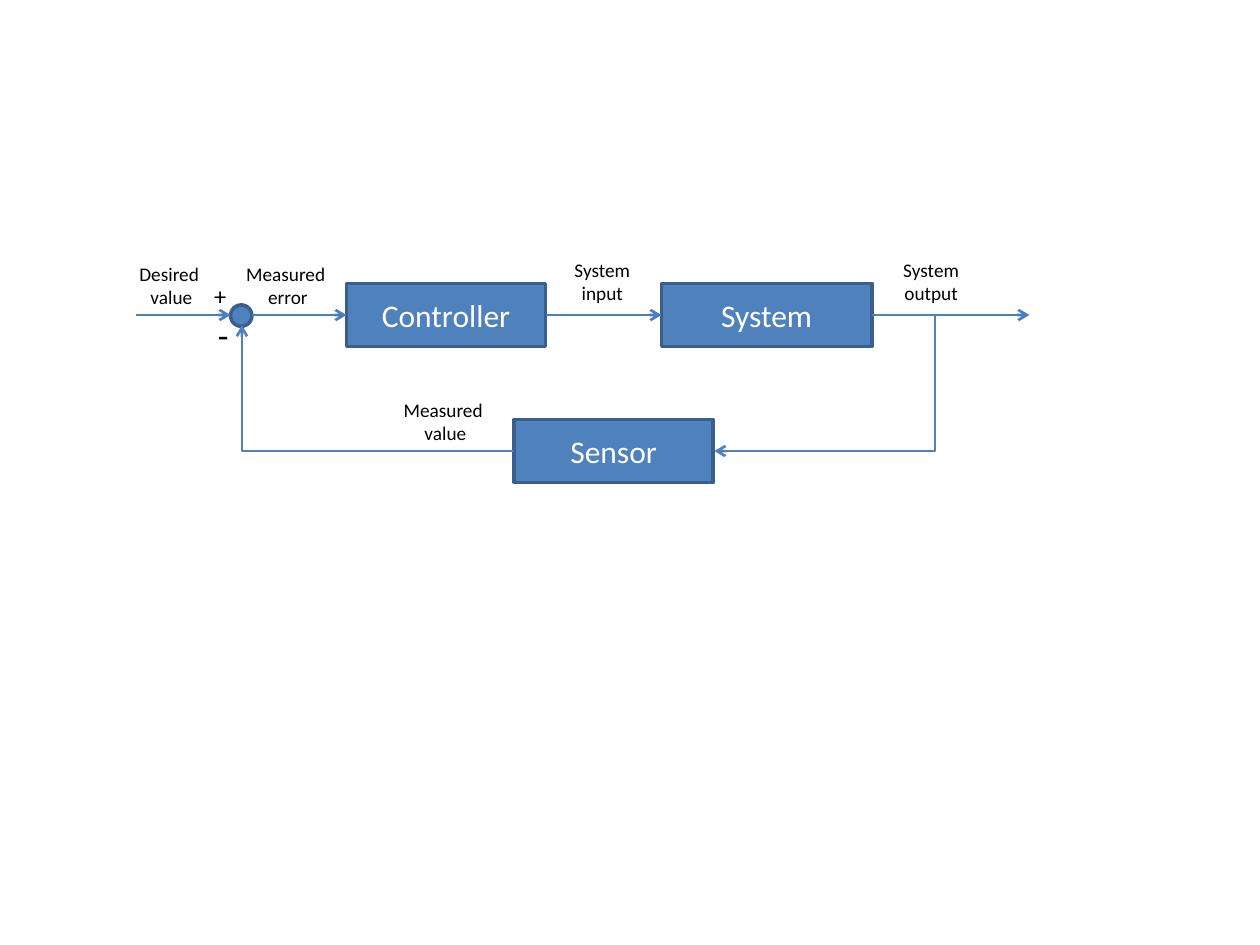
from lxml import etree
from pptx import Presentation
from pptx.dml.color import RGBColor
from pptx.enum.shapes import MSO_CONNECTOR, MSO_SHAPE
from pptx.enum.text import MSO_ANCHOR, MSO_AUTO_SIZE, PP_ALIGN
from pptx.oxml.ns import qn
from pptx.util import Inches, Pt

RECT, NODE = MSO_SHAPE.RECTANGLE, MSO_SHAPE.FLOWCHART_CONNECTOR
STRAIGHT, ELBOW = MSO_CONNECTOR.STRAIGHT, MSO_CONNECTOR.ELBOW
CENTER, LEFT = PP_ALIGN.CENTER, PP_ALIGN.LEFT
MIDDLE = MSO_ANCHOR.MIDDLE
GROW = MSO_AUTO_SIZE.SHAPE_TO_FIT_TEXT

COLORS = {"fill": "4F81BD", "border": "3A5F8C", "arrow": "4B7EBC",
          "feedback": "4F81BD", "block_text": "FFFFFF", "label": "000000"}
FONT = "Calibri"
FORWARD_Y, FEEDBACK_Y = 2.5, 3.58
SUM_X, BRANCH_X = 1.92, 7.42


def color(name):
    """Return the named colour as RGB."""
    return RGBColor.from_string(COLORS[name])


def write(tf, lines, size, text_color, align):
    """Write one paragraph for each line of text."""
    for i, line in enumerate(lines):
        p = tf.paragraphs[0] if i == 0 else tf.add_paragraph()
        p.alignment = align
        r = p.add_run()
        r.text = line
        for name, value in {"name": FONT, "size": Pt(size)}.items():
            setattr(r.font, name, value)
        r.font.color.rgb = color(text_color)


def add_block(s, kind, x, y, w, h, text=None):
    """Add a filled block, with centred text if given."""
    sp = s.shapes.add_shape(kind, Inches(x), Inches(y), Inches(w), Inches(h))
    sp.shadow.inherit = False
    sp.fill.solid()
    sp.fill.fore_color.rgb = color("fill")
    sp.line.color.rgb = color("border")
    sp.line.width = Pt(2)
    if text:
        sp.text_frame.vertical_anchor = MIDDLE
        write(sp.text_frame, [text], 18, "block_text", CENTER)


def add_label(s, x, y, w, h, lines, size=11, align=CENTER, wrap=False):
    """Add a text label that fits its text."""
    tf = s.shapes.add_textbox(Inches(x), Inches(y), Inches(w), Inches(h)).text_frame
    for name, value in {"word_wrap": wrap, "auto_size": GROW}.items():
        setattr(tf, name, value)
    write(tf, lines, size, "label", align)


def add_arrow(s, start, end, kind=STRAIGHT, line_color="arrow"):
    """Add a connector with an open arrowhead at its end."""
    cx = s.shapes.add_connector(kind, *map(Inches, start + end))
    cx.line.color.rgb = color(line_color)
    cx.line.width = Pt(1.5)
    etree.SubElement(cx.line._get_or_add_ln(), qn("a:tailEnd"), type="arrow")
    etree.SubElement(cx._element.spPr, qn("a:effectLst"))
    return cx


def add_feedback(s):
    """Add the two bent arrows of the feedback path."""
    start, end = (6.92, FORWARD_Y), (5.67, FEEDBACK_Y)
    to_sensor = add_arrow(s, start, end, ELBOW, "feedback")
    guides = to_sensor._element.spPr.find(qn("a:prstGeom")).get_or_add_avLst()
    bend = round((start[0] - BRANCH_X) / (start[0] - end[0]) * 100000)
    etree.SubElement(guides, qn("a:gd"), name="adj1", fmla=f"val {bend}")

    # A half turn makes the path run left from the sensor, then up.
    to_sum = add_arrow(s, (SUM_X, 2.58), (4.08, FEEDBACK_Y), ELBOW, "feedback")
    sp_pr = to_sum._element.spPr
    sp_pr.find(qn("a:xfrm")).set("rot", "10800000")
    sp_pr.find(qn("a:prstGeom")).set("prst", "bentConnector2")


def main():
    """Build the control loop slide."""
    prs = Presentation()
    prs.slide_width, prs.slide_height = Inches(10), Inches(7.5)
    s = prs.slides.add_slide(prs.slide_layouts[6])

    for text, x, y, w in [("Controller", 2.75, 2.25, 1.58),
                          ("System", 5.25, 2.25, 1.67),
                          ("Sensor", 4.08, 3.33, 1.58)]:
        add_block(s, RECT, x, y, w, 0.5, text)
    add_block(s, NODE, 1.83, 2.42, 0.17, 0.17)

    for x1, x2 in [(1.08, 1.83), (2, 2.75), (4.33, 5.25), (BRANCH_X, 8.17)]:
        add_arrow(s, (x1, FORWARD_Y), (x2, FORWARD_Y))
    add_feedback(s)

    for x, y, w, lines in [(0.97, 2.03, 0.78, ["Desired ", "value"]),
                           (1.82, 2.03, 0.93, ["Measured ", "error"]),
                           (4.42, 2, 0.72, ["System", "input"]),
                           (7.03, 2, 0.72, ["System", "output"]),
                           (3.07, 3.11, 0.93, ["Measured ", "value"])]:
        add_label(s, x, y, w, 0.47, lines)
    add_label(s, 1.6, 2.18, 0.42, 0.34, ["+"], 14, LEFT, True)
    add_label(s, 1.63, 2.44, 0.25, 0.44, ["-"], 20, LEFT, True)

    prs.save("out.pptx")


main()
